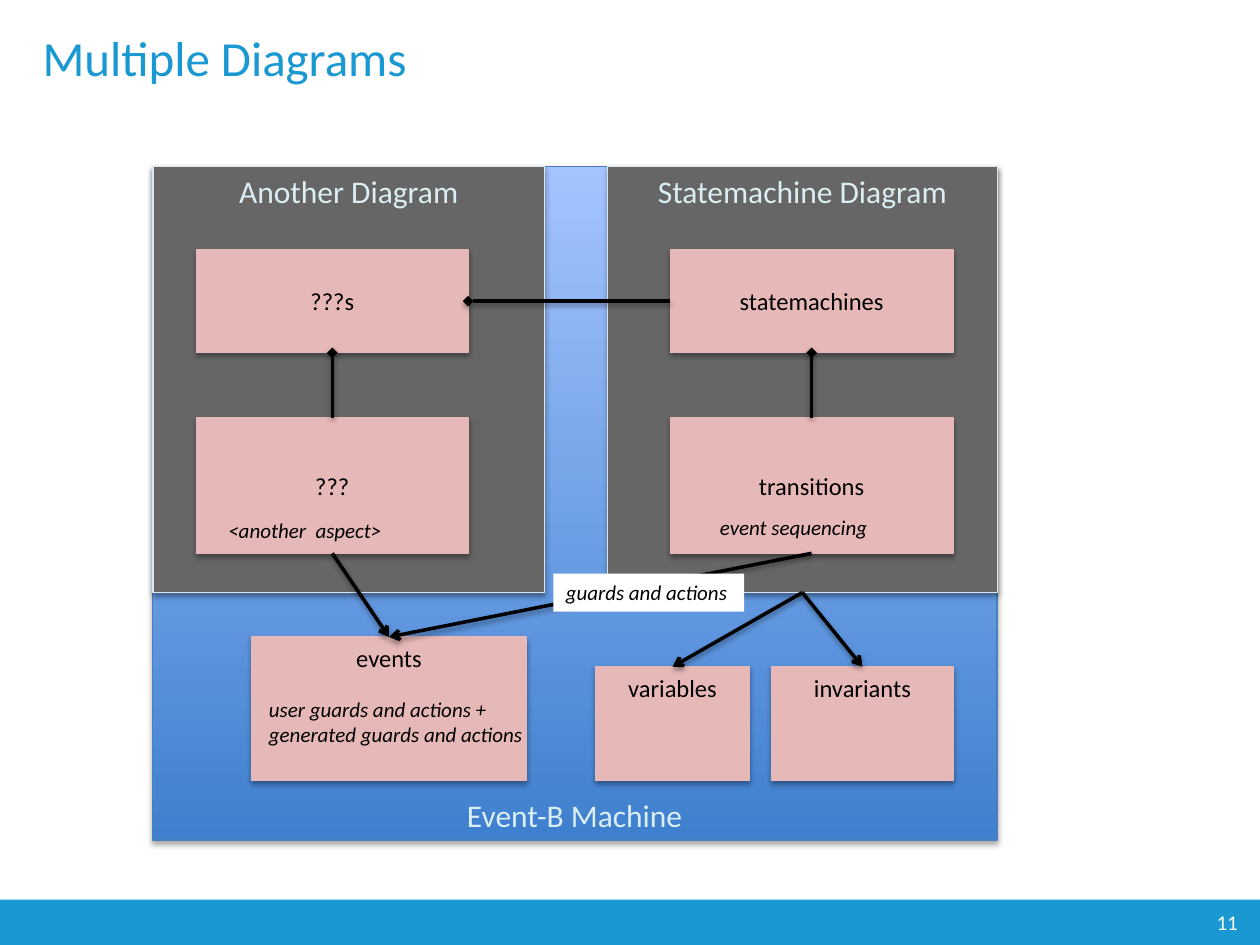
"""Build the Multiple Diagrams slide."""
from dataclasses import dataclass
from typing import Optional

from lxml.etree import SubElement
from pptx import Presentation
from pptx.dml.color import RGBColor
from pptx.enum.shapes import MSO_CONNECTOR, MSO_SHAPE
from pptx.enum.text import MSO_ANCHOR, PP_ALIGN
from pptx.oxml.ns import qn
from pptx.util import Pt


@dataclass(frozen=True)
class Theme:
    font: str = "Calibri"
    accent: str = "1998D2"
    white: str = "FFFFFF"
    ink: str = "000000"
    panel: str = "666666"
    panel_line: str = "DCE6F2"
    panel_text: str = "DBEEF4"
    node: str = "E6B9B8"
    machine_low: str = "3F80CE"
    machine_high: str = "A4C4FF"
    machine_line: str = "4B7EBC"
    title_size: float = 28
    panel_size: float = 18
    node_size: float = 14
    note_size: float = 12
    outline: float = 0.75
    link: float = 2


T = Theme()


@dataclass(frozen=True)
class Box:
    text: str
    x: float
    y: float
    w: float
    h: float
    anchor: MSO_ANCHOR = MSO_ANCHOR.TOP
    fill: Optional[str] = T.node
    line: str = T.node
    color: str = T.ink
    size: float = T.node_size

    @property
    def top(self) -> tuple[float, float]:
        return self.x + self.w / 2, self.y

    @property
    def bottom(self) -> tuple[float, float]:
        return self.x + self.w / 2, self.y + self.h

    @property
    def left(self) -> tuple[float, float]:
        return self.x, self.y + self.h / 2

    @property
    def right(self) -> tuple[float, float]:
        return self.x + self.w, self.y + self.h / 2


@dataclass(frozen=True)
class Link:
    start: tuple[float, float]
    end: tuple[float, float]
    mark: str
    kind: str


@dataclass(frozen=True)
class Note:
    text: str
    x: float
    y: float
    w: float
    h: float = 21.8
    size: float = T.note_size
    color: str = T.ink
    italic: bool = True
    fill: Optional[str] = None
    anchor: MSO_ANCHOR = MSO_ANCHOR.TOP


def rgb(value: str) -> RGBColor:
    return RGBColor.from_string(value)


def style_text(tf, size: float, color: str, align: PP_ALIGN, italic: bool = False) -> None:
    for p in tf.paragraphs:
        p.alignment = align
        for r in p.runs:
            r.font.name = T.font
            r.font.size = Pt(size)
            r.font.italic = italic
            r.font.color.rgb = rgb(color)


def add_shadow(s, dist: float, alpha: int) -> None:
    effects = SubElement(s._element.spPr, qn("a:effectLst"))
    shadow = SubElement(effects, qn("a:outerShdw"), blurRad=str(Pt(3.1)),
                        dist=str(Pt(dist)), dir="5400000", rotWithShape="0")
    color = SubElement(shadow, qn("a:srgbClr"), val=T.ink)
    SubElement(color, qn("a:alpha"), val=str(alpha * 1000))


def add_box(shapes, box: Box) -> None:
    s = shapes.add_shape(MSO_SHAPE.RECTANGLE, Pt(box.x), Pt(box.y), Pt(box.w), Pt(box.h))
    if box.fill:
        s.fill.solid()
        s.fill.fore_color.rgb = rgb(box.fill)
    else:
        s.fill.gradient()
        s.fill.gradient_angle = 90
        for stop, color in zip(s.fill.gradient_stops, (T.machine_low, T.machine_high)):
            stop.color.rgb = rgb(color)
    s.line.color.rgb = rgb(box.line)
    s.line.width = Pt(T.outline)
    add_shadow(s, 1.8, 35)
    tf = s.text_frame
    tf.text = box.text
    tf.vertical_anchor = box.anchor
    style_text(tf, box.size, box.color, PP_ALIGN.CENTER)


def add_link(shapes, link: Link) -> None:
    s = shapes.add_connector(MSO_CONNECTOR.STRAIGHT, *map(Pt, link.start + link.end))
    s.line.color.rgb = rgb(T.ink)
    s.line.width = Pt(T.link)
    SubElement(s._element.spPr.find(qn("a:ln")), qn(f"a:{link.mark}"), type=link.kind)
    add_shadow(s, 1.6, 38)


def add_note(shapes, note: Note) -> None:
    s = shapes.add_textbox(Pt(note.x), Pt(note.y), Pt(note.w), Pt(note.h))
    if note.fill:
        s.fill.solid()
        s.fill.fore_color.rgb = rgb(note.fill)
    tf = s.text_frame
    tf.text = note.text
    tf.word_wrap = False
    tf.vertical_anchor = note.anchor
    style_text(tf, note.size, note.color, PP_ALIGN.LEFT, note.italic)


def add_footer(shapes, number: str) -> None:
    s = shapes.add_shape(MSO_SHAPE.RECTANGLE, 0, Pt(514), Pt(720), Pt(26))
    s.shadow.inherit = False
    s.fill.solid()
    s.fill.fore_color.rgb = rgb(T.accent)
    s.line.fill.background()
    tf = s.text_frame
    tf.text = number
    tf.margin_right = Pt(12.6)
    tf.vertical_anchor = MSO_ANCHOR.MIDDLE
    style_text(tf, T.note_size, T.white, PP_ALIGN.RIGHT)


def main() -> None:
    prs = Presentation()
    prs.slide_width, prs.slide_height = Pt(720), Pt(540)
    shapes = prs.slides.add_slide(prs.slide_layouts[6]).shapes

    mid = MSO_ANCHOR.MIDDLE
    label = dict(color=T.panel_text, size=T.panel_size)
    panel = dict(fill=T.panel, line=T.panel_line, **label)
    machine = Box("Event-B Machine", 87, 95, 482.8, 385, MSO_ANCHOR.BOTTOM,
                  fill=None, line=T.machine_line, **label)
    another = Box("Another Diagram", 87.4, 95, 223.8, 243.6, **panel)
    states = Box("Statemachine Diagram", 347, 95, 223, 243.6, **panel)
    owner = Box("???s", 112.3, 142.6, 155.2, 59, mid)
    item = Box("???", 112.3, 238.6, 155.2, 77.6, mid)
    statemachines = Box("statemachines", 383, 142.6, 161.6, 59, mid)
    transitions = Box("transitions", 383, 238.6, 161.6, 77.6, mid)
    events = Box("events", 143.6, 364, 157.4, 82)
    variables = Box("variables", 340.4, 381, 87.8, 65)
    invariants = Box("invariants", 441, 381, 103.6, 65)

    add_footer(shapes, "11")
    add_note(shapes, Note("Multiple Diagrams", 17.3, 0, 630.7, 64.8, T.title_size,
                          T.accent, False, anchor=mid))
    for box in (machine, another, states, owner, item, statemachines,
                transitions, events, variables, invariants):
        add_box(shapes, box)

    for whole, part in ((owner.bottom, item.top),
                        (statemachines.bottom, transitions.top),
                        (owner.right, statemachines.left)):
        add_link(shapes, Link(whole, part, "headEnd", "diamond"))
    for source, target in ((transitions, events), (item, events),
                           (states, variables), (states, invariants)):
        add_link(shapes, Link(source.bottom, target.top, "tailEnd", "arrow"))

    for note in (
        Note("user guards and actions +\ngenerated guards and actions", 146.6, 394.6, 159, 51),
        Note("<another  aspect>", 123.4, 292.3, 116.6),
        Note("event sequencing", 404.3, 290.4, 135.4),
        Note("guards and actions", 316.2, 327.8, 109, fill=T.white),
    ):
        add_note(shapes, note)
    prs.save("out.pptx")


main()
